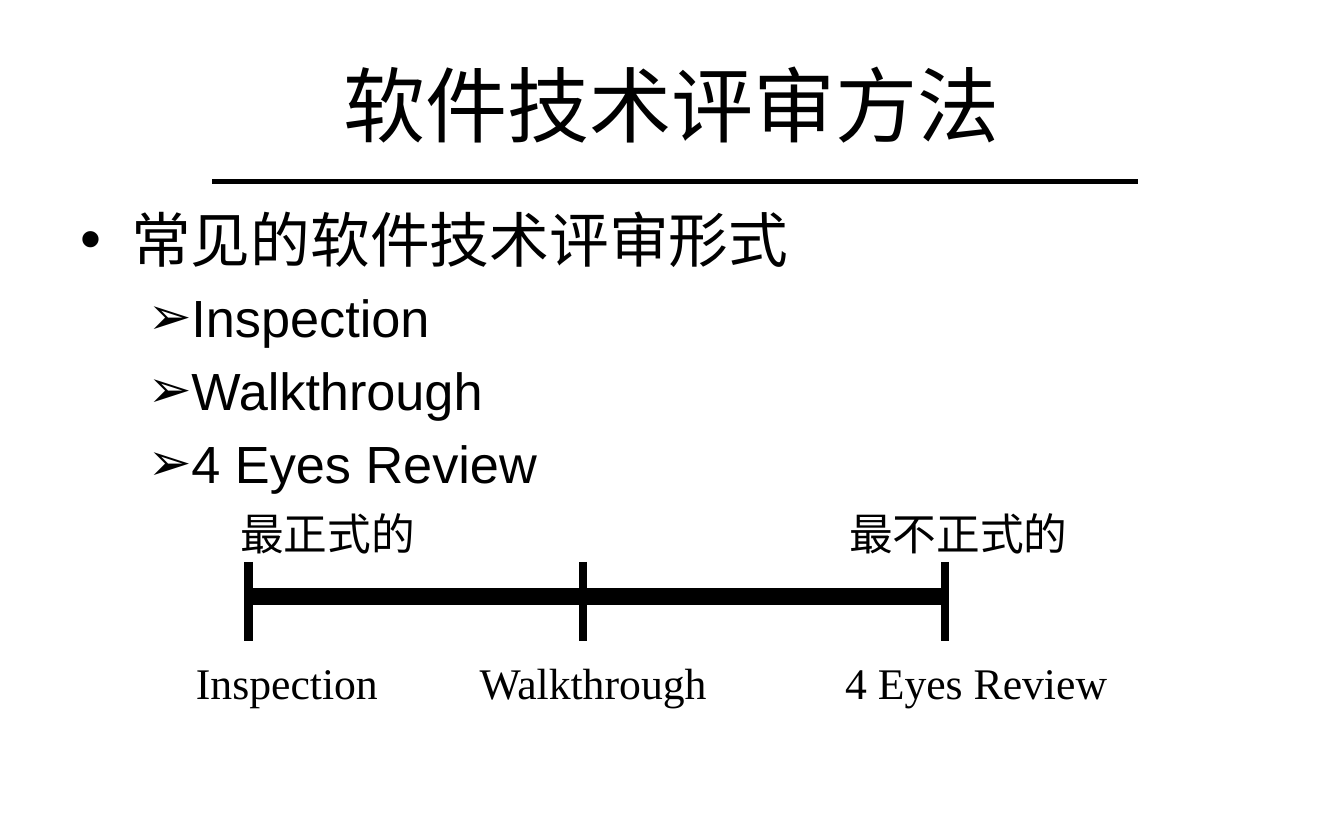
from lxml import etree
from pptx import Presentation
from pptx.dml.color import RGBColor
from pptx.enum import shapes, text
from pptx.oxml import ns
from pptx.util import Inches, Pt

BLACK = RGBColor(0, 0, 0)


def write(p, content, size, font="Arial", left=None, bullet=None):
    r = p.add_run()
    r.text = content
    r.font.size = Pt(size)
    r.font.name = font
    r.font.color.rgb = BLACK
    pPr = p._p.get_or_add_pPr()
    if left is not None:
        pPr.set("marL", str(Inches(left)))
        pPr.set("indent", "0")
    if bullet:
        etree.SubElement(pPr, ns.qn("a:buChar")).set("char", bullet)


def add_line(s, x1, y1, x2, y2, width):
    line = s.shapes.add_connector(
        shapes.MSO_CONNECTOR.STRAIGHT, Inches(x1), Inches(y1), Inches(x2), Inches(y2))
    line.line.color.rgb = BLACK
    line.line.width = Pt(width)
    etree.SubElement(line._element.spPr, ns.qn("a:effectLst"))


prs = Presentation()
prs.slide_width, prs.slide_height = Inches(10), Inches(6.25)
s = prs.slides.add_slide(prs.slide_layouts[1])

# Title and rule
title, body = s.placeholders
title.left, title.top, title.width, title.height = map(Inches, (0.5, 0.25, 9, 1.04))
title.text_frame.auto_size = text.MSO_AUTO_SIZE.NONE
title.text_frame.vertical_anchor = text.MSO_ANCHOR.MIDDLE
write(title.text_frame.paragraphs[0], "软件技术评审方法", 44)
add_line(s, 1.58, 1.35, 8.47, 1.35, 2.5)

# Review forms
forms = ["Inspection", "Walkthrough", "4 Eyes Review"]
body.left, body.top, body.width, body.height = map(Inches, (0.5, 1.46, 9, 4.12))
tf = body.text_frame
tf.auto_size = text.MSO_AUTO_SIZE.NONE
write(tf.paragraphs[0], "常见的软件技术评审形式", 32, bullet="•")
for form in forms:
    p = tf.add_paragraph()
    p.level = 1
    write(p, form, 28, bullet="➢")

# Formality scale
ticks = [1.85, 4.34, 7.03]
add_line(s, ticks[0], 4.44, ticks[-1], 4.44, 9)
for x in ticks:
    add_line(s, x, 4.18, x, 4.77, 4.5)

labels = [("最正式的", 1.19, 3.72, 2.16), ("最不正式的", 5.72, 3.72, 2.62)]
labels += [(form, x, 4.83, w)
           for form, x, w in zip(forms, (0.86, 2.97, 5.69), (2.07, 2.4, 2.67))]
for content, x, y, w in labels:
    tf = s.shapes.add_textbox(Inches(x), Inches(y), Inches(w), Inches(0.49)).text_frame
    tf.word_wrap = True
    write(tf.paragraphs[0], content, 23.4, font="Times New Roman", left=0.5)

prs.save("out.pptx")
